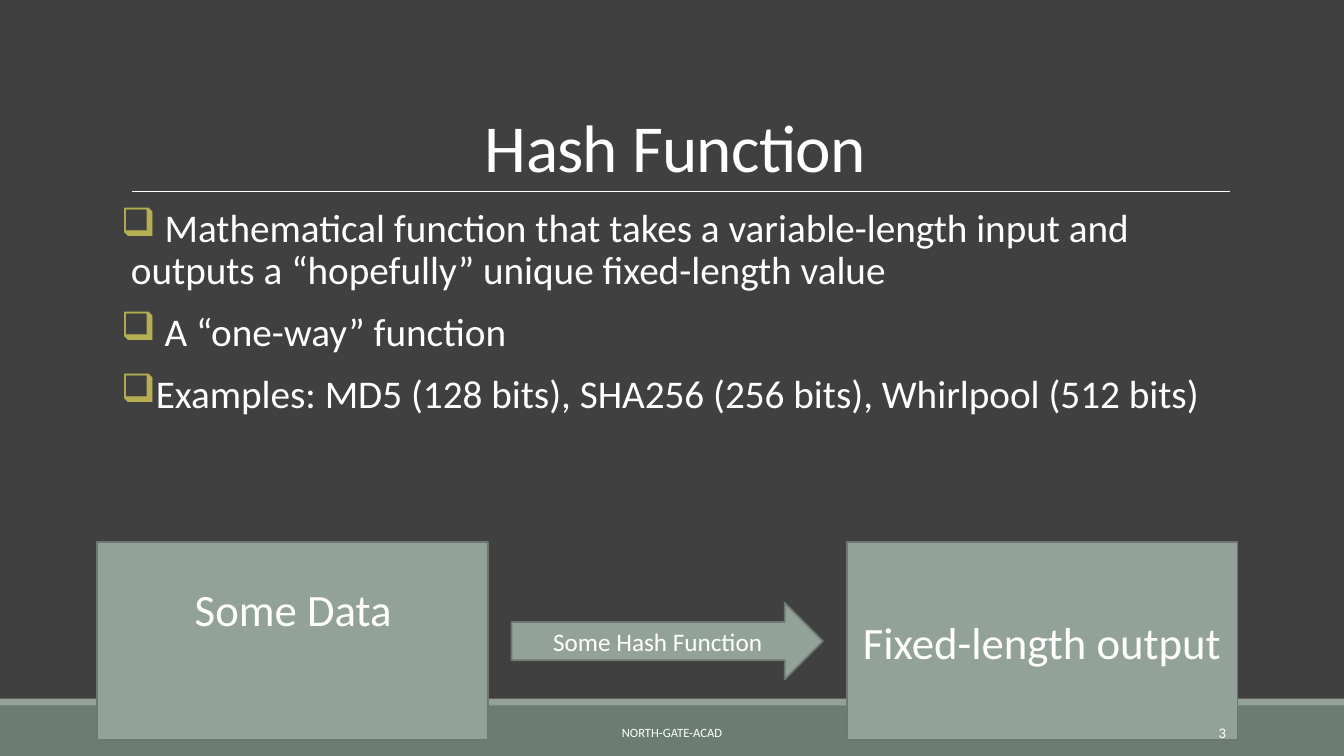
from dataclasses import dataclass
from typing import NamedTuple

from lxml.etree import SubElement
from pptx import Presentation
from pptx.dml.color import RGBColor
from pptx.enum.shapes import MSO_CONNECTOR as Connector, MSO_SHAPE as Preset
from pptx.enum.text import MSO_ANCHOR as Anchor, MSO_AUTO_SIZE as AutoSize, PP_ALIGN as Align
from pptx.oxml.ns import qn
from pptx.util import Pt


@dataclass(frozen=True)
class Theme:
    font: str = "Calibri"
    background: RGBColor = RGBColor(0x40, 0x40, 0x40)
    band: RGBColor = RGBColor(0x6B, 0x7D, 0x72)
    accent: RGBColor = RGBColor(0x93, 0xA2, 0x99)
    outline: RGBColor = RGBColor(0x6D, 0x78, 0x71)
    bullet: RGBColor = RGBColor(0xB5, 0xAE, 0x53)
    text: RGBColor = RGBColor(0xFF, 0xFF, 0xFF)
    title_size: float = 48
    body_size: float = 28
    data_size: float = 32
    arrow_size: float = 18
    footer_size: float = 9
    number_size: float = 10.5


class Box(NamedTuple):
    left: float
    top: float
    width: float
    height: float

    def inner(self, left, top, width, height):
        return Box(self.left + left, self.top + top, width, height)

    def lengths(self):
        return [Pt(value) for value in self]


THEME = Theme()
SLIDE = Box(0, 0, 960, 540)
BULLETS = (
    " Mathematical function that takes a variable-length input and "
    "outputs a “hopefully” unique fixed-length value",
    " A “one-way” function",
    "Examples: MD5 (128 bits), SHA256 (256 bits), Whirlpool (512 bits)",
)


def format_paragraph(paragraph, size, align):
    paragraph.alignment = align
    for run in paragraph.runs:
        run.font.name = THEME.font
        run.font.size = Pt(size)
        run.font.color.rgb = THEME.text


def write(shape, text, size, align=Align.CENTER, anchor=Anchor.MIDDLE):
    frame = shape.text_frame
    frame.word_wrap = True
    frame.auto_size = AutoSize.NONE
    frame.vertical_anchor = anchor
    frame.text = text
    for paragraph in frame.paragraphs:
        format_paragraph(paragraph, size, align)
    return frame


def add_label(slide, box, text, size, align=Align.CENTER, anchor=Anchor.MIDDLE):
    return write(slide.shapes.add_textbox(*box.lengths()), text, size, align, anchor)


def add_block(slide, box, fill, preset=Preset.RECTANGLE, outline=None):
    shape = slide.shapes.add_shape(preset, *box.lengths())
    shape.shadow.inherit = False
    shape.fill.solid()
    shape.fill.fore_color.rgb = fill
    if outline is None:
        shape.line.fill.background()
    else:
        shape.line.color.rgb = outline
        shape.line.width = Pt(1.25)
    return shape


def add_bands(slide, box):
    stripe = 5
    add_block(slide, box.inner(0, stripe, box.width, box.height - stripe), THEME.band)
    add_block(slide, box.inner(0, 0, box.width, stripe), THEME.accent)


def add_title(slide, box):
    title = slide.shapes.title
    title.left, title.top, title.width, title.height = box.lengths()
    frame = write(title, "Hash Function", THEME.title_size, anchor=Anchor.BOTTOM)
    paragraph = frame.paragraphs[0]
    paragraph.line_spacing = 0.85
    paragraph.runs[0].font._element.set("spc", "-50")

    rule_left, rule_top = box.left + 8, box.top + box.height
    rule = slide.shapes.add_connector(
        Connector.STRAIGHT, Pt(rule_left), Pt(rule_top), Pt(rule_left + 784.5), Pt(rule_top))
    rule.line.color.rgb = THEME.text
    rule.line.width = Pt(0.5)
    SubElement(rule._element.spPr, qn("a:effectLst"))


def add_bullets(slide, box):
    frame = add_label(slide, box, "\n".join(BULLETS), THEME.body_size, Align.LEFT, Anchor.TOP)
    frame.margin_left = frame.margin_right = 0
    for paragraph in frame.paragraphs:
        paragraph.line_spacing = 0.9
        paragraph.space_before = Pt(12)
        paragraph.space_after = Pt(2)
        properties = paragraph._p.get_or_add_pPr()
        properties.set("marL", str(Pt(7.2)))
        properties.set("indent", str(Pt(-7.2)))
        color = SubElement(properties, qn("a:buClr"))
        SubElement(color, qn("a:srgbClr"), val=str(THEME.bullet))
        SubElement(properties, qn("a:buChar"), char="❑")


def add_hash_flow(slide, box):
    block_width = 279.2
    arrow_width, arrow_height = 222.5, 54.8
    add_block(slide, box.inner(0, 0, block_width, box.height), THEME.accent, outline=THEME.outline)
    arrow = add_block(
        slide,
        box.inner((box.width - arrow_width) / 2, (box.height - arrow_height) / 2,
                  arrow_width, arrow_height),
        THEME.accent, Preset.RIGHT_ARROW, THEME.outline)
    write(arrow, "Some Hash Function", THEME.arrow_size)
    output = add_block(slide, box.inner(box.width - block_width, 0, block_width, box.height),
                       THEME.accent, outline=THEME.outline)
    write(output, "Fixed-length output", THEME.data_size)
    label_width = 203
    add_label(slide, box.inner((block_width - label_width) / 2 + 0.6, 24.5, label_width, 46),
              "Some Data", THEME.data_size, anchor=Anchor.TOP)


def add_footer(slide, box):
    number_width = 103
    add_label(slide, box.inner(0, 0, 379.5, box.height), "NORTH-GATE-ACAD", THEME.footer_size)
    add_label(slide, box.inner(box.width - number_width, 0, number_width, box.height),
              "3", THEME.number_size, Align.RIGHT)


def build_hash_slide(presentation, box):
    slide = presentation.slides.add_slide(presentation.slide_layouts.get_by_name("Title Only"))
    slide.background.fill.solid()
    slide.background.fill.fore_color.rgb = THEME.background
    add_bands(slide, box.inner(0, 499, box.width, 41))
    add_title(slide, box.inner(86.4, 22.5, 792, 114.3))
    add_bullets(slide, box.inner(86.4, 145.4, 792, 316.8))
    add_hash_flow(slide, box.inner(69.3, 387.2, 814.7, 141.5))
    add_footer(slide, box.inner(290.2, 508.6, 592.6, 28.8))


presentation = Presentation()
presentation.slide_width, presentation.slide_height = Pt(SLIDE.width), Pt(SLIDE.height)
build_hash_slide(presentation, SLIDE)
presentation.save("out.pptx")
